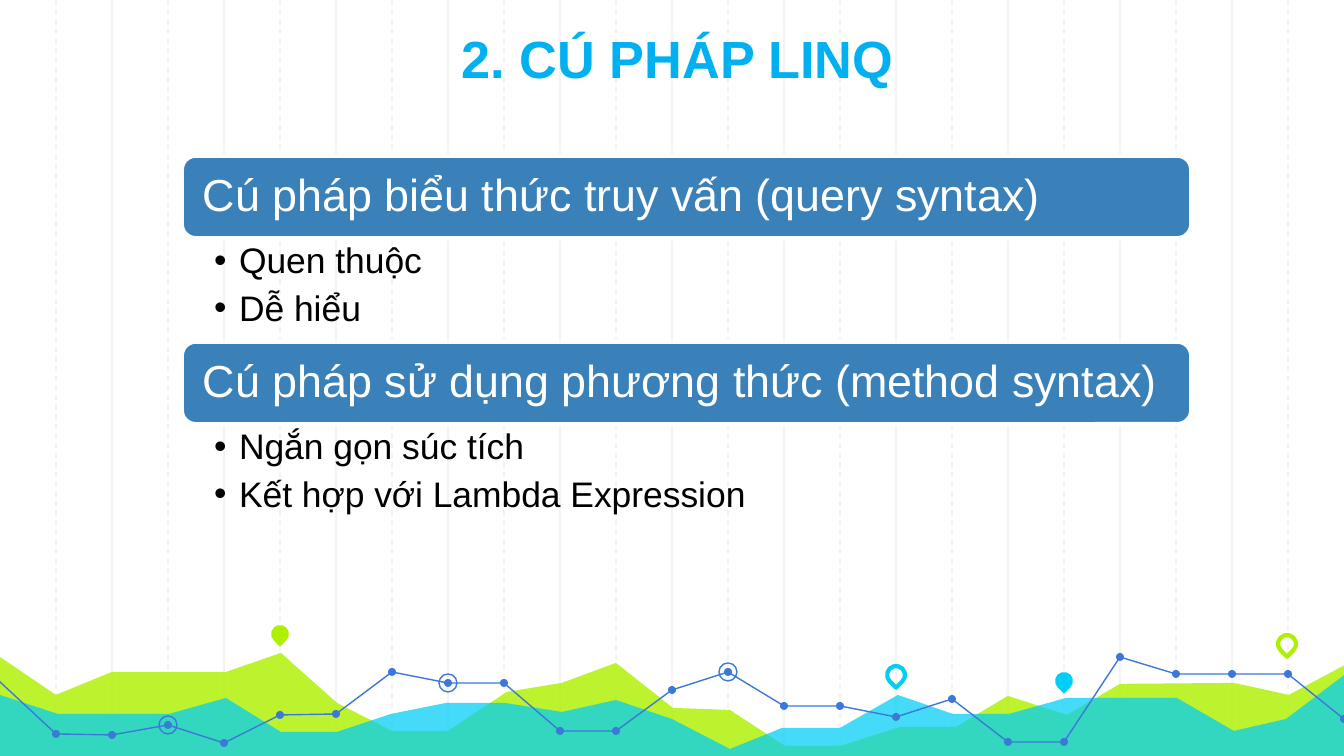
from lxml.etree import SubElement
from pptx import Presentation
from pptx.dml.color import RGBColor
from pptx.enum.dml import MSO_LINE
from pptx.enum.shapes import MSO_CONNECTOR, MSO_SHAPE
from pptx.enum.text import MSO_ANCHOR, MSO_AUTO_SIZE, PP_ALIGN
from pptx.oxml.ns import qn
from pptx.util import Pt

SCALE = 914400 / 134.4
WIDTH, HEIGHT = 1344, 756
STEP = 56
GREEN, CYAN, BLUE = "AFF000", "00CEF6", "3C78D8"

GREEN_AREA = [
    (-3, 655), (56, 695), (112, 672), (226, 672), (281, 653), (337, 703),
    (392, 731), (448, 731), (507, 692), (562, 683), (616, 663), (673, 708),
    (730, 710), (785, 746), (841, 746), (900, 727), (956, 727), (1008, 696),
    (1067, 715), (1120, 684), (1234, 683), (1289, 695), (1347, 664),
    (1345, 758), (-4, 758),
]
CYAN_AREA = [
    (-3, 694), (58, 714), (169, 714), (226, 698), (281, 732), (337, 732),
    (391, 714), (446, 703), (505, 703), (562, 712), (616, 700), (672, 719),
    (730, 749), (782, 728), (840, 728), (898, 695), (953, 714), (1009, 714),
    (1066, 698), (1177, 698), (1234, 731), (1286, 719), (1347, 673),
    (1347, 759), (-4, 759),
]
TREND_HEIGHTS = [
    734, 735, 725, 743, 715, 714, 672, 683, 683, 731, 731, 690,
    672, 706, 706, 717, 699, 742, 742, 657, 674, 674, 674, 719,
]
RINGED_DOTS = (3, 8, 13)
PINS = [
    (280, 634, GREEN, True), (896, 675, CYAN, False),
    (1064, 681, CYAN, True), (1287, 644, GREEN, False),
]
SECTIONS = [
    ("Cú pháp biểu thức truy vấn (query syntax)",
     ["Quen thuộc", "Dễ hiểu"]),
    ("Cú pháp sử dụng phương thức (method syntax)",
     ["Ngắn gọn súc tích", "Kết hợp với Lambda Expression"]),
]


def px(length):
    return round(length * SCALE)


def color(value):
    return RGBColor.from_string(value)


def paint(shape, fill=None, line=None, weight=0.75):
    shape.shadow.inherit = False
    if fill:
        shape.fill.solid()
        shape.fill.fore_color.rgb = color(fill)
    else:
        shape.fill.background()
    if line:
        shape.line.color.rgb = color(line)
        shape.line.width = Pt(weight)
    else:
        shape.line.fill.background()


def add_grid_line(page, x, dashed):
    line = page.shapes.add_connector(
        MSO_CONNECTOR.STRAIGHT, px(x), 0, px(x), px(HEIGHT))
    line.line.color.rgb = color("F3F3F3")
    line.line.width = Pt(0.75)
    if dashed:
        line.line.dash_style = MSO_LINE.DASH
    SubElement(line._element.spPr, qn("a:effectLst"))


def add_outline(page, points, closed):
    builder = page.shapes.build_freeform(*points[0], scale=SCALE)
    builder.add_line_segments(points[1:], close=closed)
    return builder.convert_to_shape()


def add_area(page, points, fill, opacity):
    area = add_outline(page, points, True)
    paint(area, fill)
    tint = area._element.spPr.find(qn("a:solidFill"))[0]
    SubElement(tint, qn("a:alpha"), val=str(opacity * 1000))


def add_marker(page, preset, x, y, size):
    return page.shapes.add_shape(
        preset, px(x - size / 2), px(y - size / 2), px(size), px(size))


def add_pin(page, x, y, hue, solid):
    pin = add_marker(page, MSO_SHAPE.TEAR, x, y, 18)
    pin.rotation = 135
    if solid:
        paint(pin, fill=hue)
    else:
        paint(pin, line=hue, weight=2.25)


def add_trend(page):
    dots = [(STEP * i, y) for i, y in enumerate(TREND_HEIGHTS, 1)]
    paint(add_outline(page, [(-1, 681)] + dots, False), line=BLUE)
    for i, (x, y) in enumerate(dots, 1):
        paint(add_marker(page, MSO_SHAPE.OVAL, x, y, 8), fill=BLUE)
        if i in RINGED_DOTS:
            paint(add_marker(page, MSO_SHAPE.OVAL, x, y, 18), line=BLUE)


def set_font(para, size, hue, bold=False):
    para.font.name = "Arial"
    para.font.size = Pt(size)
    para.font.bold = bold
    para.font.color.rgb = color(hue)


def place(page, box, left, top, width, height):
    box.left, box.top = px(left), px(top)
    box.width, box.height = px(width), px(height)
    box.text_frame.auto_size = MSO_AUTO_SIZE.NONE
    page.shapes._spTree.append(box._element)


def set_margins(frame, left, top, right, bottom):
    frame.margin_left, frame.margin_top = px(left), px(top)
    frame.margin_right, frame.margin_bottom = px(right), px(bottom)


def fill_title(page, text):
    title = page.shapes.title
    place(page, title, 181, 19, 993, 77)
    title.text_frame.text = text
    para = title.text_frame.paragraphs[0]
    para.alignment = PP_ALIGN.CENTER
    set_font(para, 28, "00B0F0", True)


def add_heading(page, text, top):
    bar = page.shapes.add_shape(
        MSO_SHAPE.ROUNDED_RECTANGLE, px(182), px(top), px(1009), px(82))
    paint(bar, "3A81BA", "FFFFFF", 2)
    frame = bar.text_frame
    frame.word_wrap = True
    frame.vertical_anchor = MSO_ANCHOR.MIDDLE
    set_margins(frame, 17, 13, 17, 13)
    frame.text = text
    para = frame.paragraphs[0]
    para.alignment = PP_ALIGN.LEFT
    para.line_spacing = 0.9
    set_font(para, 24, "FFFFFF")


def fill_list(page, box, items, top):
    place(page, box, 182, top, 1009, 103)
    frame = box.text_frame
    set_margins(frame, 32, 4, 26, 4)
    frame.text = "\n".join(items)
    for para in frame.paragraphs:
        para.line_spacing = 0.9
        para.space_before = Pt(0)
        para.space_after = Pt(5)
        indent = px(25)
        para._p.get_or_add_pPr().set("marL", str(indent))
        para._p.get_or_add_pPr().set("indent", str(-indent))
        set_font(para, 19, "000000")


def main():
    deck = Presentation()
    deck.slide_width, deck.slide_height = px(WIDTH), px(HEIGHT)
    page = deck.slides.add_slide(deck.slide_layouts[3])
    for i in range(1, WIDTH // STEP):
        add_grid_line(page, STEP * i, dashed=i % 2 == 1)
    add_area(page, GREEN_AREA, GREEN, 82)
    add_area(page, CYAN_AREA, CYAN, 73)
    add_trend(page)
    for pin in PINS:
        add_pin(page, *pin)
    fill_title(page, "2. CÚ PHÁP LINQ")
    bodies = [page.placeholders[1], page.placeholders[2]]
    for i, (body, (heading, items)) in enumerate(zip(bodies, SECTIONS)):
        top = 156 + 186 * i
        add_heading(page, heading, top)
        fill_list(page, body, items, top + 83)
    deck.save("out.pptx")


if __name__ == "__main__":
    main()
